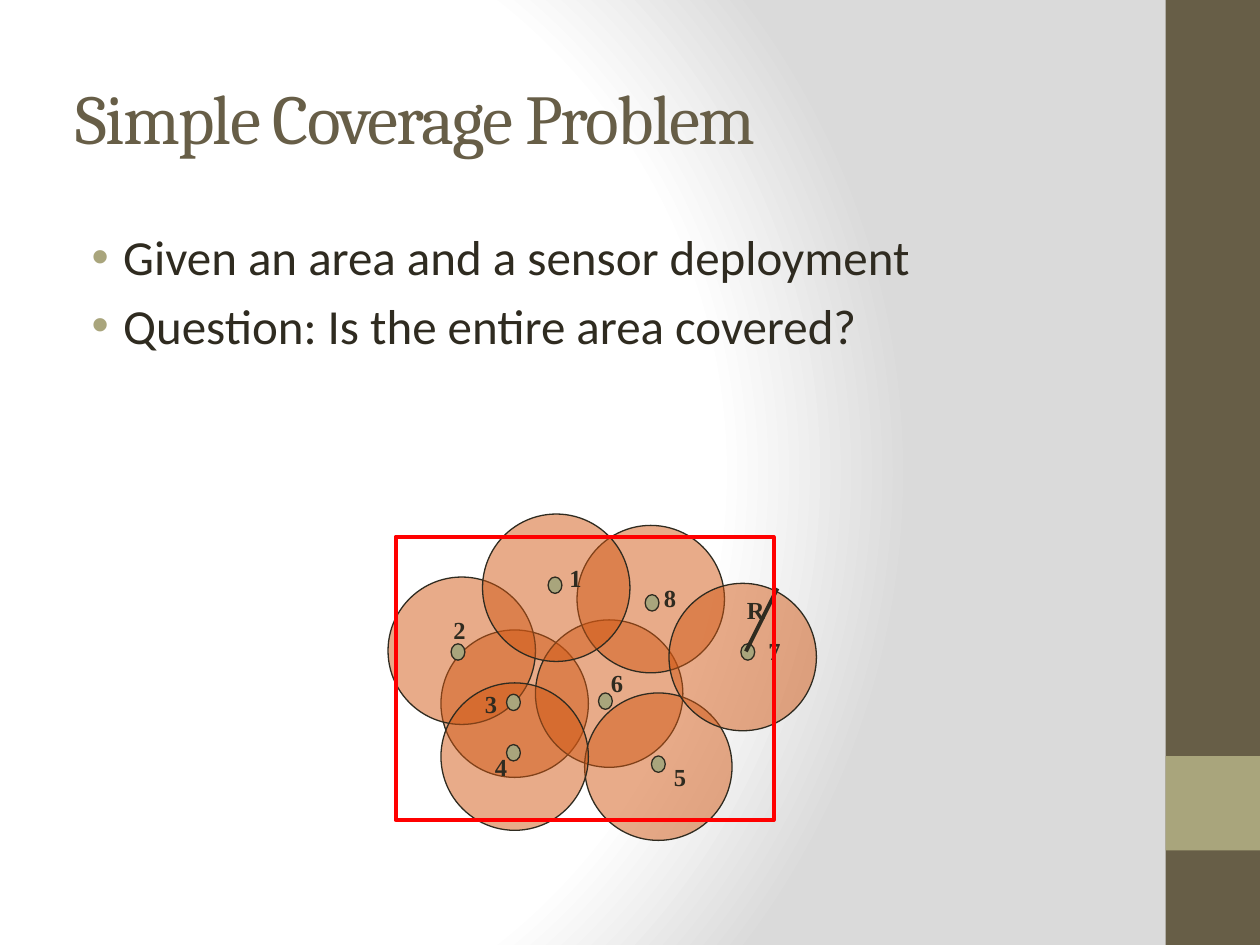
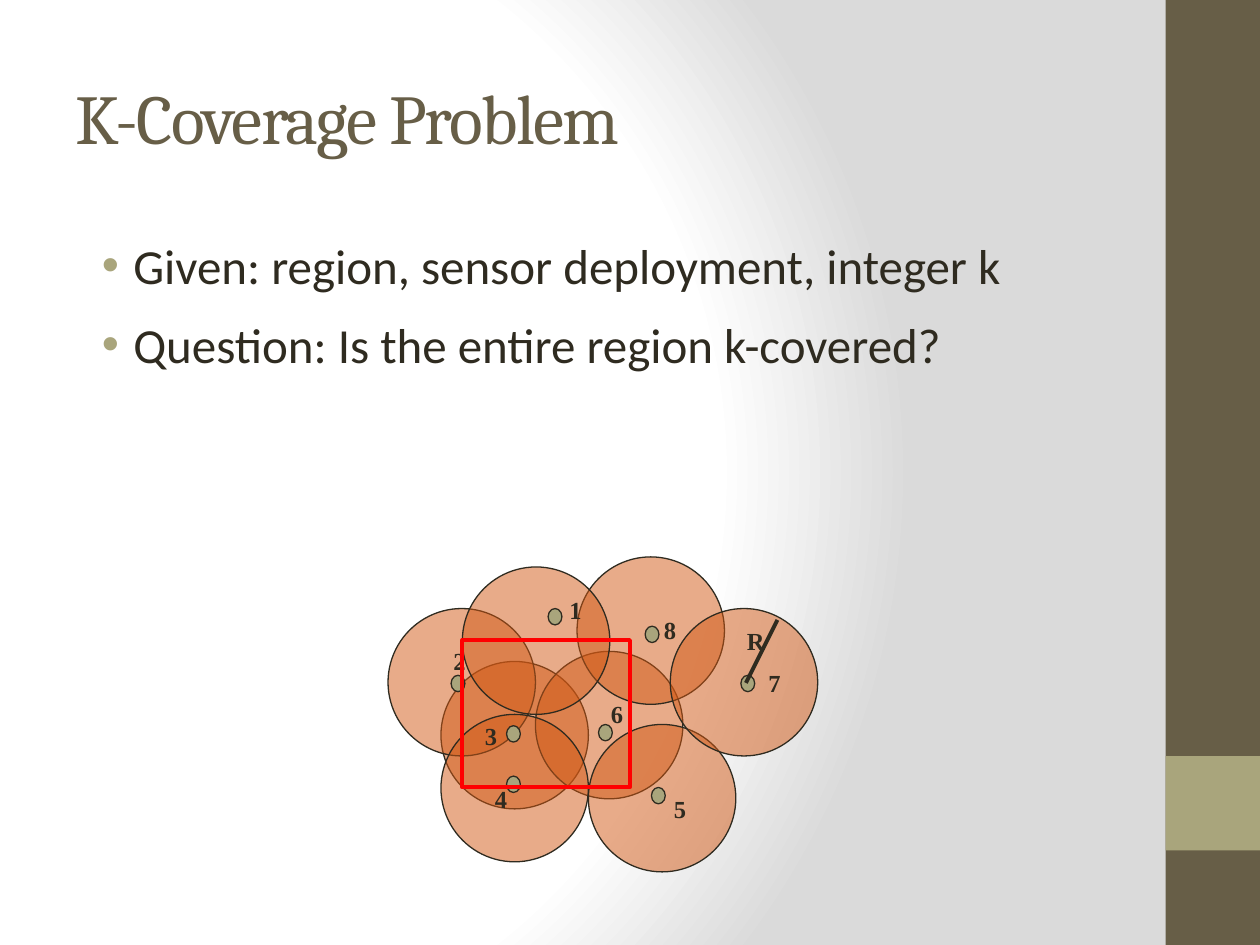
from lxml.etree import SubElement
from pptx import Presentation
from pptx.dml.color import RGBColor
from pptx.enum.shapes import MSO_CONNECTOR as CONN, MSO_SHAPE as SHAPE
from pptx.enum.text import MSO_ANCHOR as ANCHOR, MSO_AUTO_SIZE as AUTO, PP_ALIGN as ALIGN
from pptx.oxml import parse_xml
from pptx.oxml.ns import nsdecls, qn
from pptx.util import Inches, Pt

COLORS = {
    "brown": "675E47", "olive": "A9A57C", "ink": "2F2B20", "range": "D25814",
    "red": "FF0000", "white": "FFFFFF", "grey": "DADADA",
}
TITLE_FONT, BODY_FONT, LABEL_FONT = "Cambria", "Calibri", "Times New Roman"
DISC = 1.17
DOT = (0.11, 0.13)

# Sensing discs by sensor number, from back to front
DISCS = {
    3: (3.5, 5), 6: (4.25, 4.92), 8: (4.58, 4.17), 2: (3.08, 4.58),
    5: (4.64, 5.5), 7: (5.31, 4.63), 4: (3.5, 5.42), 1: (3.83, 4.08),
}
K_DISCS = DISCS | {5: (4.67, 5.5), 7: (5.32, 4.58), 1: (3.67, 4.25)}
DOTS = [(4.02, 5.51), (4.02, 5.91), (4.35, 4.58), (5.17, 6),
        (5.88, 5.11), (5.12, 4.72), (3.58, 5.11), (4.75, 5.5)]
LABELS = {
    "6": (4.75, 5.25), "5": (5.25, 6), "4": (3.83, 5.92), "3": (3.75, 5.42),
    "2": (3.5, 4.83), "1": (4.42, 4.42), "7": (6, 5), "8": (5.17, 4.58),
}


def rgb(name):
    return RGBColor.from_string(COLORS[name])


class Deck:
    def __init__(self):
        self.prs = Presentation()
        self.prs.slide_width, self.prs.slide_height = Inches(10), Inches(7.5)
        self.s = None
        self.background()

    def background(self):
        """Give the master a round gradient centred left of the middle."""
        master = self.prs.slide_master
        master.background.fill.gradient()
        old = master.element.xpath(".//p:bg//a:gradFill")[0]
        stops = "".join(
            f'<a:gs pos="{pos}000"><a:srgbClr val="{COLORS[name]}"/></a:gs>'
            for pos, name in ((0, "white"), (75, "white"), (100, "grey")))
        new = parse_xml(
            f'<a:gradFill {nsdecls("a")} rotWithShape="1"><a:gsLst>{stops}</a:gsLst>'
            '<a:path path="circle"><a:fillToRect l="20000" t="50000" r="100000" b="50000"/>'
            '</a:path></a:gradFill>')
        old.getparent().replace(old, new)

    def slide(self, title):
        self.s = self.prs.slides.add_slide(self.prs.slide_layouts[5])
        self.shape(SHAPE.RECTANGLE, 9.25, 0, 0.75, 7.5, fill="brown")
        self.shape(SHAPE.RECTANGLE, 9.25, 6, 0.75, 0.75, fill="olive")
        sp = self.s.shapes.title
        sp.left, sp.top, sp.width, sp.height = map(Inches, (0.5, 0.3, 8.33, 1.25))
        tf = sp.text_frame
        tf.text = title
        tf.vertical_anchor = ANCHOR.MIDDLE
        tf.paragraphs[0].alignment = ALIGN.LEFT
        r = tf.paragraphs[0].runs[0]
        self.font(r, TITLE_FONT, 40, "brown")
        r.font._element.set("spc", "-100")

    def font(self, r, name, size, color, bold=False):
        f = r.font
        f.name, f.size, f.bold = name, Pt(size), bold
        f.color.rgb = rgb(color)

    def shape(self, kind, x, y, w, h, fill=None, alpha=None, line=None, width=0.75):
        sp = self.s.shapes.add_shape(kind, *map(Inches, (x, y, w, h)))
        sp.shadow.inherit = False
        if fill:
            sp.fill.solid()
            sp.fill.fore_color.rgb = rgb(fill)
        else:
            sp.fill.background()
        if alpha:
            color = sp._element.spPr.find(qn("a:solidFill"))[0]
            SubElement(color, qn("a:alpha")).set("val", str(alpha * 1000))
        if line:
            sp.line.color.rgb = rgb(line)
            sp.line.width = Pt(width)
        else:
            sp.line.fill.background()

    def textbox(self, x, y, w, h):
        tf = self.s.shapes.add_textbox(*map(Inches, (x, y, w, h))).text_frame
        tf.word_wrap = True
        return tf

    def bullets(self, lines, x, y, w, h, gap):
        tf = self.textbox(x, y, w, h)
        for i, line in enumerate(lines):
            p = tf.add_paragraph() if i else tf.paragraphs[0]
            p.text = line
            p.space_before = Pt(gap if i else 0)
            self.font(p.runs[0], BODY_FONT, 28, "ink")
            pPr = p._p.get_or_add_pPr()
            pPr.set("marL", str(Inches(0.38)))
            pPr.set("indent", str(Inches(-0.25)))
            color = SubElement(pPr, qn("a:buClr"))
            SubElement(color, qn("a:srgbClr")).set("val", COLORS["olive"])
            SubElement(pPr, qn("a:buFont")).set("typeface", "Arial")
            SubElement(pPr, qn("a:buChar")).set("char", "•")

    def label(self, text, x, y):
        tf = self.textbox(x, y, 0.33, 0.33)
        tf.auto_size = AUTO.SHAPE_TO_FIT_TEXT
        tf.text = text
        self.font(tf.paragraphs[0].runs[0], LABEL_FONT, 14, "ink", bold=True)

    def line(self, x1, y1, x2, y2):
        c = self.s.shapes.add_connector(CONN.STRAIGHT, *map(Inches, (x1, y1, x2, y2)))
        c.line.color.rgb = rgb("ink")
        c.line.width = Pt(2.25)
        SubElement(c._element.spPr, qn("a:effectLst"))

    def sensors(self, discs, region, drop=0):
        """Draw the sensor field, lowered by drop, and the region to cover."""
        for x, y in discs.values():
            self.shape(SHAPE.OVAL, x, y + drop, DISC, DISC, "range", 50, "ink")
        for x, y in DOTS:
            self.shape(SHAPE.OVAL, x, y + drop, *DOT, fill="olive", line="ink")
        for text, (x, y) in LABELS.items():
            self.label(text, x, y + drop)
        self.line(5.92, 5.17 + drop, 6.17, 4.67 + drop)
        self.label("R", 5.83, 4.67 + drop)
        self.shape(SHAPE.RECTANGLE, *region, line="red", width=2.25)


def main():
    deck = Deck()

    deck.slide("Simple Coverage Problem")
    deck.bullets(["Given an area and a sensor deployment",
                  "Question: Is the entire area covered?"],
                 0.5, 1.75, 8.33, 5.25, gap=5.6)
    deck.sensors(DISCS, region=(3.14, 4.26, 3, 2.25))

    deck.slide("K-Coverage Problem")
    deck.bullets(["Given: region, sensor deployment, integer k",
                  "Question: Is the entire region k-covered?"],
                 0.58, 1.82, 8.41, 4.67, gap=11.6)
    deck.sensors(K_DISCS, region=(3.67, 5.08, 1.33, 1.17), drop=0.25)

    deck.prs.save("out.pptx")


if __name__ == "__main__":
    main()
